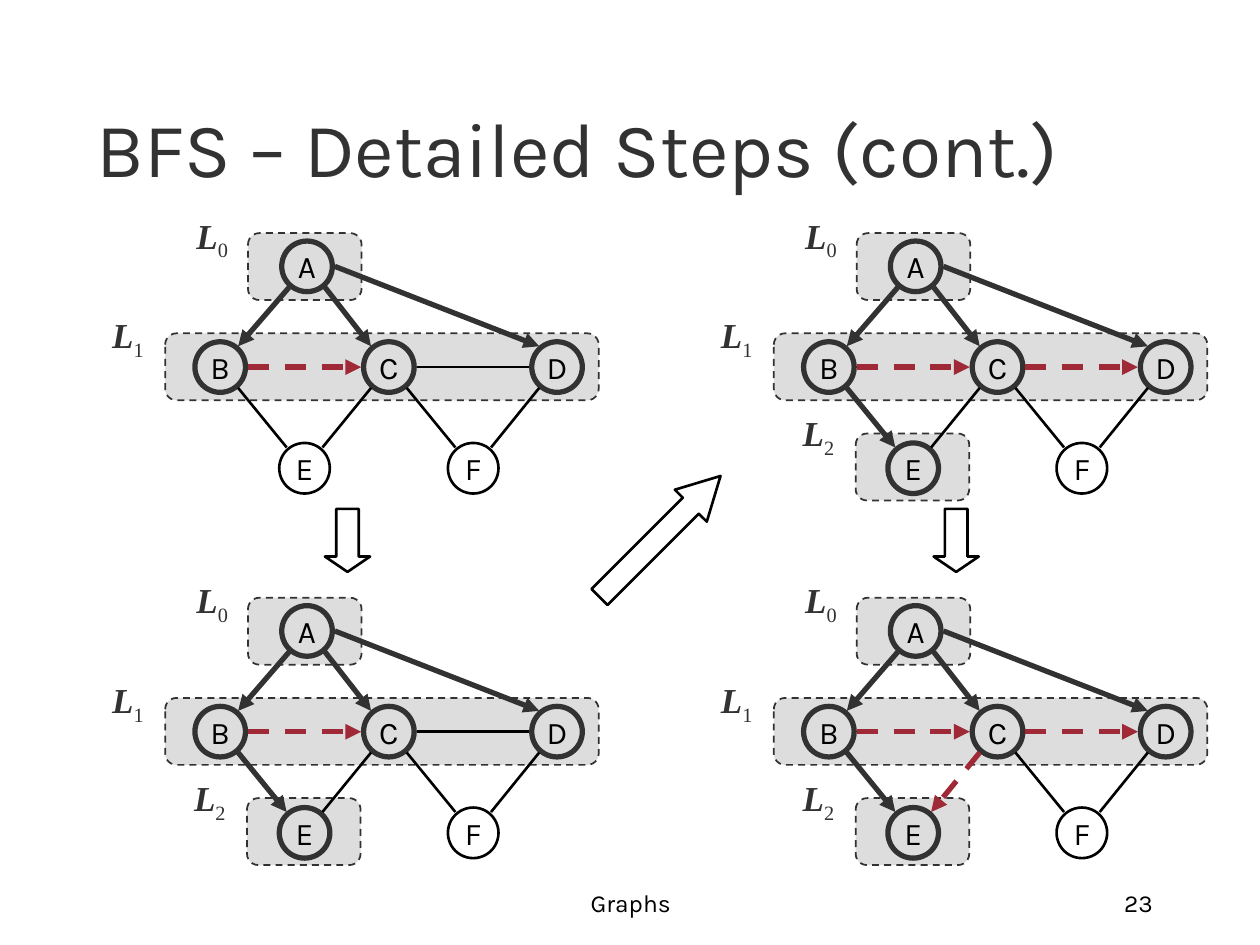
"""Build the slide that shows four steps of a breadth-first search."""
import pptx
import pptx.dml.color
import pptx.enum.dml
import pptx.enum.shapes
import pptx.enum.text
import pptx.oxml.ns
import pptx.util
from lxml import etree

Cm, Pt = pptx.util.Cm, pptx.util.Pt
SHAPE = pptx.enum.shapes.MSO_SHAPE
ALIGN = pptx.enum.text.PP_ALIGN
ANCHOR = pptx.enum.text.MSO_ANCHOR
qn = pptx.oxml.ns.qn

COLORS = {"ink": "000000", "dark": "323232", "level": "DDDDDD",
          "cross": "9F2936", "paper": "FFFFFF"}
LINES = {
    "plain": {"color": "ink", "width": 1.5},
    "visited": {"color": "dark", "width": 3},
    "discovery": {"color": "dark", "width": 3, "arrow": True},
    "cross": {"color": "cross", "width": 3, "dash": True, "arrow": True},
    "level": {"color": "dark", "width": 1, "dash": True},
}
FONTS = {
    "title": {"name": "Karla", "size": Pt(44)},
    "node": {"name": "Karla", "size": Pt(18)},
    "footer": {"name": "Karla", "size": Pt(14)},
    "level": {"name": "Times New Roman", "size": Pt(20), "bold": True, "italic": True},
    "index": {"name": "Times New Roman", "size": Pt(20), "bold": False, "italic": False},
}

STEP_DX, STEP_DY = 12.27, 7.35
STEPS = [(0, 0), (0, 1), (1, 0), (1, 1)]
NODE_SIZE = 1.02
PORTS = {"e": (0.56, 0), "w": (-0.56, 0), "ne": (0.36, -0.42), "nw": (-0.36, -0.42),
         "se": (0.36, 0.42), "sw": (-0.36, 0.42)}
NEVER = len(STEPS)

# name: centre x, centre y, step of the visit
NODES = {"A": (6.19, 5.37, 0), "B": (4.44, 7.4, 0), "C": (7.84, 7.4, 0),
         "D": (11.23, 7.4, 0), "E": (6.14, 9.44, 1), "F": (9.54, 9.44, NEVER)}
# start, port, end, port, kind once explored, step of the exploration
EDGES = [
    ("A", "sw", "B", "ne", "discovery", 0),
    ("A", "se", "C", "nw", "discovery", 0),
    ("A", "e", "D", "nw", "discovery", 0),
    ("B", "e", "C", "w", "cross", 0),
    ("B", "se", "E", "nw", "discovery", 1),
    ("C", "e", "D", "w", "cross", 2),
    ("C", "sw", "E", "ne", "cross", 3),
    ("C", "se", "F", "nw", "plain", NEVER),
    ("D", "sw", "F", "ne", "plain", NEVER),
]
# box x, y, width; label x, y; first step
LEVELS = [(5, 4.7, 2.29, 3.63, 4.19, 0), (3.33, 6.72, 8.74, 1.93, 6.2, 0),
          (4.98, 8.74, 2.29, 3.58, 8.18, 1)]


class Deck:
    """Hold the style, the slide and the group being drawn."""

    def __init__(self):
        self.prs = pptx.Presentation()
        self.prs.slide_width, self.prs.slide_height = Cm(25.4), Cm(19.05)
        self.s = self.prs.slides.add_slide(self.prs.slide_layouts[6])
        fill = self.s.background.fill
        fill.solid()
        fill.fore_color.rgb = self.rgb("paper")
        self.shapes, self.dx, self.dy = self.s.shapes, 0, 0

    def rgb(self, color):
        """Return a named colour."""
        return pptx.dml.color.RGBColor.from_string(COLORS[color])

    def start_group(self, dx, dy):
        """Draw what follows in a new group, moved by dx and dy."""
        self.shapes, self.dx, self.dy = self.s.shapes.add_group_shape().shapes, dx, dy

    def frame(self, x, y, w, h):
        """Return a moved box as lengths."""
        return Cm(x + self.dx), Cm(y + self.dy), Cm(w), Cm(h)

    def style_line(self, sp, kind):
        """Apply a line style."""
        style = LINES[kind]
        sp.line.color.rgb = self.rgb(style["color"])
        sp.line.width = Pt(style["width"])
        if style.get("dash"):
            sp.line.dash_style = pptx.enum.dml.MSO_LINE.DASH
        if style.get("arrow"):
            ln = sp._element.spPr.find(qn("a:ln"))
            etree.SubElement(ln, qn("a:tailEnd"), type="triangle")

    def set_runs(self, sp, runs, color, align=ALIGN.CENTER, anchor=ANCHOR.MIDDLE, wrap=False):
        """Put runs of (text, font) in a shape."""
        tf = sp.text_frame
        for key, value in {"word_wrap": wrap, "vertical_anchor": anchor}.items():
            setattr(tf, key, value)
        p = tf.paragraphs[0]
        p.alignment = align
        for text, font in runs:
            r = p.add_run()
            r.text = text
            for key, value in FONTS[font].items():
                setattr(r.font, key, value)
            r.font.color.rgb = self.rgb(color)
            if font == "index":
                r._r.get_or_add_rPr().set("baseline", "-25000")

    def text(self, box, runs, color, **layout):
        """Add a text box."""
        self.set_runs(self.shapes.add_textbox(*self.frame(*box)), runs, color, **layout)

    def shape(self, kind, box, line, fill=None, adjust=(), rotation=0):
        """Add a preset shape."""
        sp = self.shapes.add_shape(kind, *self.frame(*box))
        sp.shadow.inherit = False
        sp.rotation = rotation
        for i, value in enumerate(adjust):
            sp.adjustments[i] = value
        if fill:
            sp.fill.solid()
            sp.fill.fore_color.rgb = self.rgb(fill)
        else:
            sp.fill.background()
        self.style_line(sp, line)
        return sp

    def node(self, name, x, y, kind):
        """Add a vertex around its centre."""
        corner = NODE_SIZE / 2
        sp = self.shape(SHAPE.OVAL, (x - corner, y - corner, NODE_SIZE, NODE_SIZE), kind)
        self.set_runs(sp, [(name, "node")], "ink")

    def edge(self, start, start_port, end, end_port, kind):
        """Add an edge between ports of two vertices."""
        points = []
        for name, port in ((start, start_port), (end, end_port)):
            points += [Cm(NODES[name][0] + PORTS[port][0] + self.dx),
                       Cm(NODES[name][1] + PORTS[port][1] + self.dy)]
        c = self.shapes.add_connector(pptx.enum.shapes.MSO_CONNECTOR.STRAIGHT, *points)
        self.style_line(c, kind)
        etree.SubElement(c._element.spPr, qn("a:effectLst"))

    def step(self, number, column, row):
        """Add the graph as it stands at one step."""
        self.start_group(column * STEP_DX, row * STEP_DY)
        for i, (x, y, w, label_x, label_y, since) in enumerate(LEVELS):
            if number >= since:
                self.shape(SHAPE.ROUNDED_RECTANGLE, (x, y, w, 1.35), "level", "level", [0.17])
                self.text((label_x, label_y, 1.3, 1.09), [("L", "level"), (str(i), "index")],
                          "dark", anchor=ANCHOR.TOP)
        for name, (x, y, since) in NODES.items():
            self.node(name, x, y, "visited" if number >= since else "plain")
        for *ends, kind, since in EDGES:
            self.edge(*ends, kind if number >= since else "plain")


def main():
    """Build and save the slide."""
    d = Deck()
    d.text((1.7, 0.84, 21.59, 3.18), [("BFS – Detailed Steps (cont.)", "title")], "dark",
           align=ALIGN.LEFT, anchor=ANCHOR.BOTTOM, wrap=True)
    for x, w, text, align in ((8.69, 8.05, "Graphs", ALIGN.CENTER),
                              (18.21, 5.28, "23", ALIGN.RIGHT)):
        d.text((x, 17.35, w, 1.27), [(text, "footer")], "ink",
               align=align, anchor=ANCHOR.BOTTOM, wrap=True)
    for x, y, w, head, rotation in ((6.37, 10.44, 1.27, 0.34, 90),
                                    (11.58, 10.36, 3.45, 0.93, 315),
                                    (6.37 + STEP_DX, 10.44, 1.27, 0.34, 90)):
        d.shape(SHAPE.RIGHT_ARROW, (x, y, w, 0.91), "plain",
                adjust=(0.5, head), rotation=rotation)
    for number, (column, row) in enumerate(STEPS):
        d.step(number, column, row)
    d.prs.save("out.pptx")


if __name__ == "__main__":
    main()
